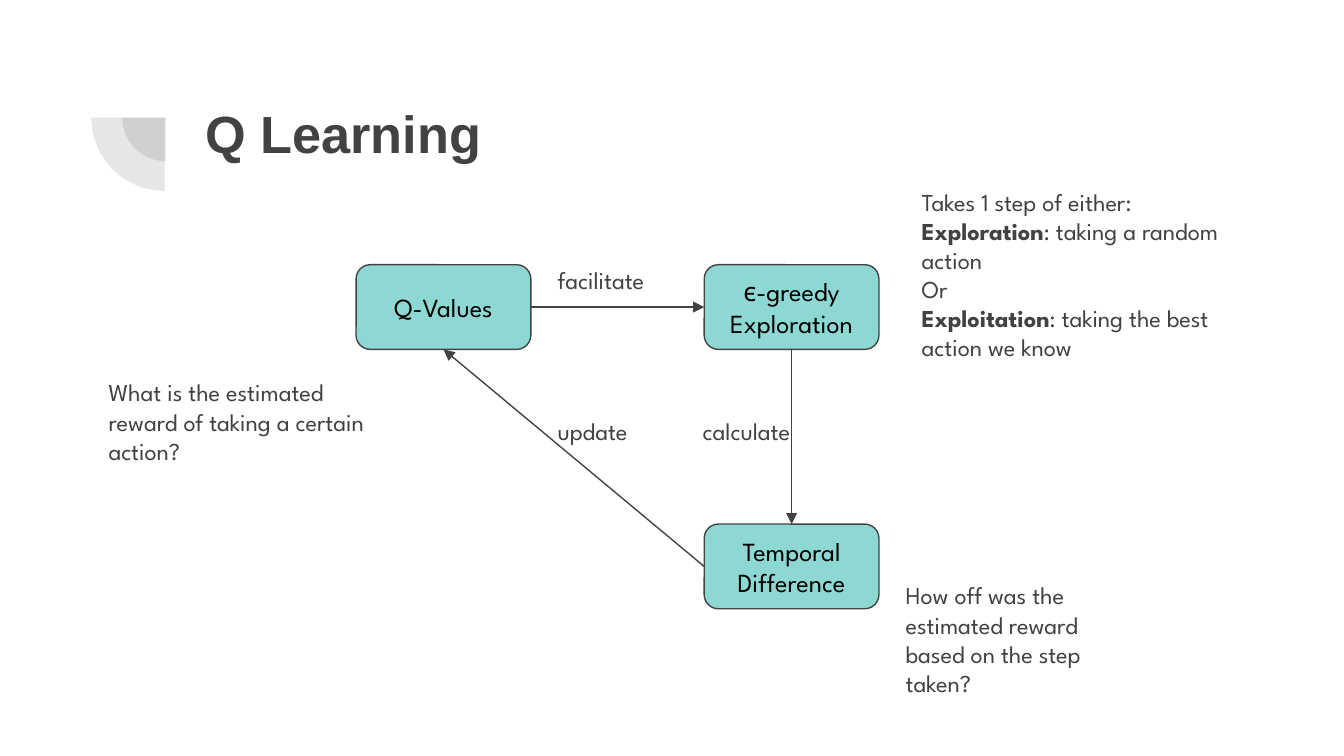
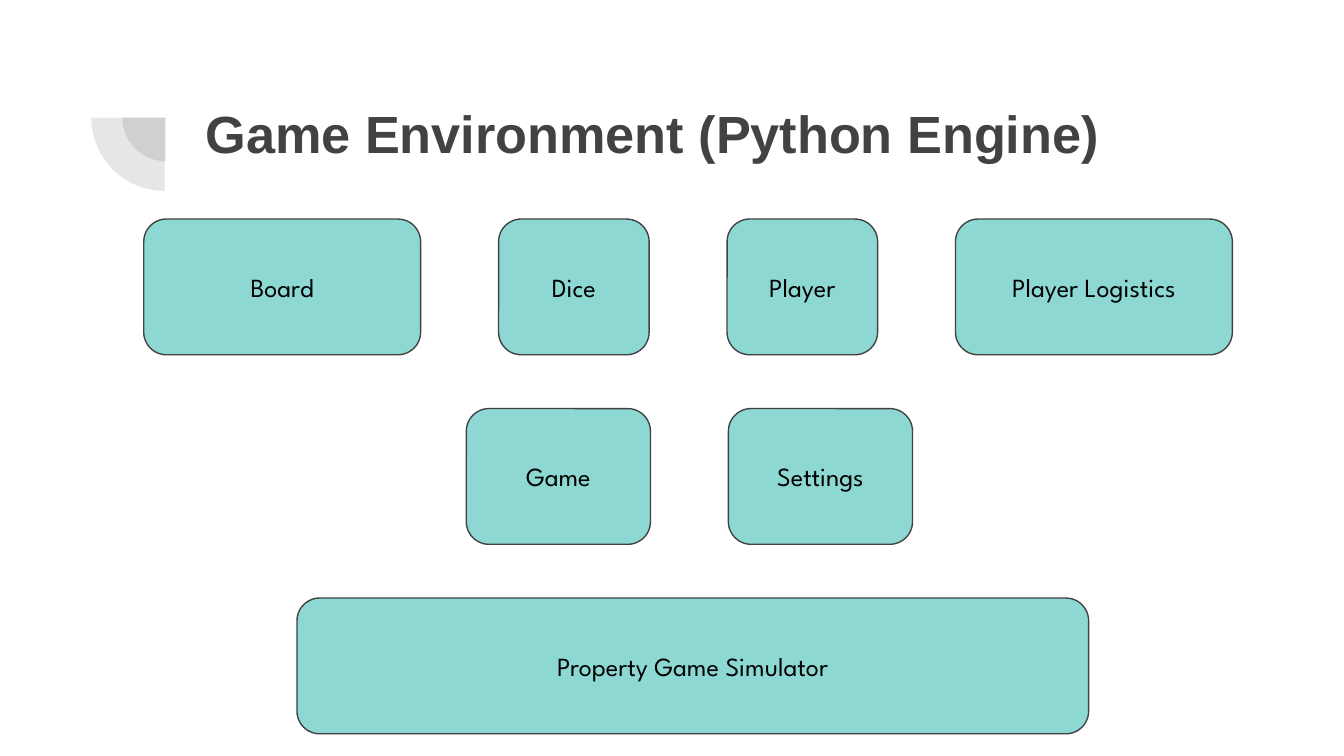
from dataclasses import dataclass

from lxml import etree
from pptx import Presentation
from pptx.dml.color import RGBColor
from pptx.enum.shapes import MSO_CONNECTOR, MSO_SHAPE
from pptx.enum.text import MSO_ANCHOR, MSO_AUTO_SIZE, PP_ALIGN
from pptx.oxml.ns import qn
from pptx.util import Inches, Pt

ROUNDED, PIE = MSO_SHAPE.ROUNDED_RECTANGLE, MSO_SHAPE.PIE
STRAIGHT = MSO_CONNECTOR.STRAIGHT
TOP, MIDDLE = MSO_ANCHOR.TOP, MSO_ANCHOR.MIDDLE
LEFT, CENTER = PP_ALIGN.LEFT, PP_ALIGN.CENTER
TITLE_ONLY = 5
SIDE_TOP, SIDE_LEFT, SIDE_BOTTOM, SIDE_RIGHT = range(4)


@dataclass(frozen=True)
class Theme:
    background: RGBColor = RGBColor(0xFF, 0xFF, 0xFF)
    ink: RGBColor = RGBColor(0x42, 0x42, 0x42)
    box_fill: RGBColor = RGBColor(0x8D, 0xD8, 0xD3)
    box_text: RGBColor = RGBColor(0, 0, 0)
    title_font: str = "Arial"
    body_font: str = "League Spartan"
    title_size: int = 28
    box_size: int = 14
    note_size: int = 13
    line_width: float = 0.75
    ornament_opacity: int = 13


def write_text(shape, text, *, font, size, color, bold=False, align=LEFT, anchor=TOP):
    """Fill a shape with text; newlines part paragraphs, ** marks switch bold."""
    frame = shape.text_frame
    frame.word_wrap = True
    frame.auto_size = MSO_AUTO_SIZE.NONE
    frame.vertical_anchor = anchor
    frame.margin_left = frame.margin_right = Inches(0.1)
    frame.margin_top = frame.margin_bottom = Inches(0.1)
    for index, line in enumerate(text.split("\n")):
        paragraph = frame.add_paragraph() if index else frame.paragraphs[0]
        paragraph.alignment = align
        for part, words in enumerate(line.split("**")):
            if not words:
                continue
            run = paragraph.add_run()
            run.text = words
            run.font.name = font
            run.font.size = Pt(size)
            run.font.bold = bold or part % 2 == 1
            run.font.color.rgb = color


class Deck:
    def __init__(self, theme):
        self.theme = theme
        self.presentation = Presentation()
        self.presentation.slide_width = Inches(10)
        self.presentation.slide_height = Inches(5.625)
        self.slide = None

    def add_slide(self, title):
        theme = self.theme
        layout = self.presentation.slide_layouts[TITLE_ONLY]
        self.slide = self.presentation.slides.add_slide(layout)
        background = self.slide.background.fill
        background.solid()
        background.fore_color.rgb = theme.background
        self.quarter_disc(0.91, 0.55, 0.65)
        self.quarter_disc(0.68, 0.33, 1.09)
        heading = self.slide.shapes.title
        heading.left, heading.top = Inches(1.43), Inches(0.65)
        heading.width, heading.height = Inches(7.69), Inches(1.09)
        write_text(heading, title, font=theme.title_font, size=theme.title_size,
                   color=theme.ink, bold=True)

    def quarter_disc(self, left, top, size):
        disc = self.slide.shapes.add_shape(
            PIE, Inches(left), Inches(top), Inches(size), Inches(size))
        disc.shadow.inherit = False
        disc.rotation = 270
        # Angles from 180 to 270 degrees, in 60000ths scaled by 100000
        disc.adjustments[0], disc.adjustments[1] = 108, 162
        disc.fill.solid()
        disc.fill.fore_color.rgb = self.theme.ink
        color = disc.fill._xPr.find(qn("a:solidFill"))[0]
        etree.SubElement(color, qn("a:alpha"),
                         val=str(self.theme.ornament_opacity * 1000))
        disc.line.fill.background()

    def box(self, text, left, top, width, height):
        theme = self.theme
        shape = self.slide.shapes.add_shape(
            ROUNDED, Inches(left), Inches(top), Inches(width), Inches(height))
        shape.shadow.inherit = False
        shape.fill.solid()
        shape.fill.fore_color.rgb = theme.box_fill
        shape.line.color.rgb = theme.ink
        shape.line.width = Pt(theme.line_width)
        write_text(shape, text, font=theme.body_font, size=theme.box_size,
                   color=theme.box_text, align=CENTER, anchor=MIDDLE)
        return shape

    def row(self, left, top, height, gap, boxes):
        for text, width in boxes:
            self.box(text, left, top, width, height)
            left += width + gap

    def note(self, text, left, top, width, height):
        shape = self.slide.shapes.add_textbox(
            Inches(left), Inches(top), Inches(width), Inches(height))
        write_text(shape, text, font=self.theme.body_font,
                   size=self.theme.note_size, color=self.theme.ink)

    def arrow(self, start, start_side, end, end_side):
        connector = self.slide.shapes.add_connector(STRAIGHT, 0, 0, 0, 0)
        connector.begin_connect(start, start_side)
        connector.end_connect(end, end_side)
        connector.line.color.rgb = self.theme.ink
        connector.line.width = Pt(self.theme.line_width)
        etree.SubElement(connector.line._get_or_add_ln(), qn("a:tailEnd"),
                         type="triangle")
        etree.SubElement(connector._element.spPr, qn("a:effectLst"))


def build_q_learning(deck):
    deck.add_slide("Q Learning")

    # Learning cycle
    width, height = 1.3, 0.63
    left_column, right_column = 2.65, 5.24
    upper_row, lower_row = 1.97, 3.9
    values = deck.box("Q-Values", left_column, upper_row, width, height)
    difference = deck.box("Temporal Difference", right_column, lower_row, width, height)
    exploration = deck.box("ϵ-greedy Exploration", right_column, upper_row, width, height)
    deck.arrow(exploration, SIDE_BOTTOM, difference, SIDE_TOP)
    deck.arrow(difference, SIDE_LEFT, values, SIDE_BOTTOM)
    deck.arrow(values, SIDE_RIGHT, exploration, SIDE_LEFT)

    # Explanations of each step
    deck.note("What is the estimated reward of taking a certain action?",
              0.71, 2.71, 2.23, 0.79)
    deck.note("How off was the estimated reward based on the step taken?",
              6.64, 4.22, 1.78, 1.02)
    deck.note("Takes 1 step of either:\n"
              "**Exploration**: taking a random action\n"
              "Or\n"
              "**Exploitation**: taking the best action we know",
              6.76, 1.29, 2.53, 2)

    # Arrow labels
    for label, left, top in (("update", 4.05, 3), ("facilitate", 4.05, 1.87),
                             ("calculate", 5.13, 3)):
        deck.note(label, left, top, 1.08, 0.38)


def build_game_environment(deck):
    deck.add_slide("Game Environment (Python Engine)")

    # Modules, from parts down to the whole simulator
    first_top, pitch, height, gap = 1.63, 1.41, 1.01, 0.58
    rows = (
        (1.07, (("Board", 2.06), ("Dice", 1.12), ("Player", 1.12),
                ("Player Logistics", 2.06))),
        (3.47, (("Game", 1.37), ("Settings", 1.37))),
        (2.21, (("Property Game Simulator", 5.89),)),
    )
    for index, (left, boxes) in enumerate(rows):
        deck.row(left, first_top + index * pitch, height, gap, boxes)


def main():
    deck = Deck(Theme())
    build_q_learning(deck)
    build_game_environment(deck)
    deck.presentation.save("out.pptx")


if __name__ == "__main__":
    main()
